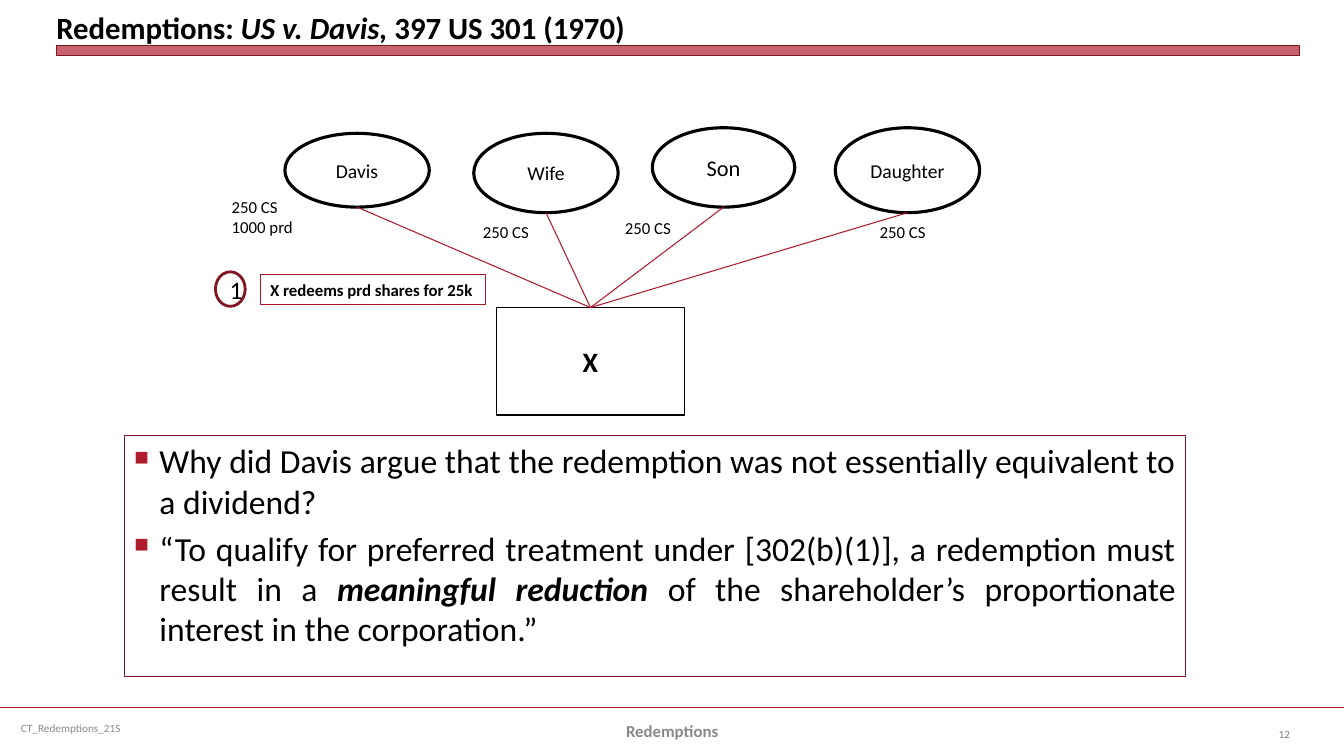
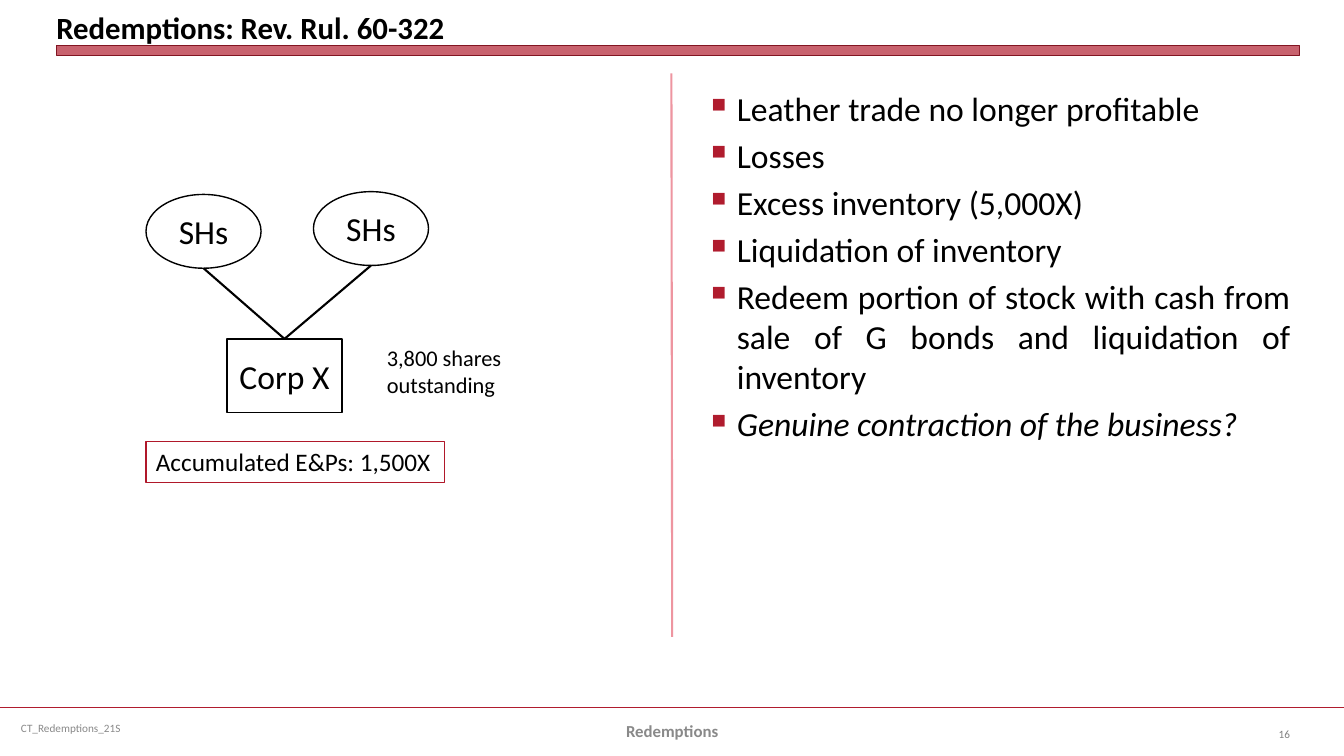
from dataclasses import dataclass
from typing import NamedTuple, Optional

from lxml import etree
from pptx import Presentation
from pptx.dml.color import RGBColor
from pptx.enum.shapes import MSO_CONNECTOR, MSO_SHAPE
from pptx.enum.text import MSO_ANCHOR, MSO_AUTO_SIZE, PP_ALIGN
from pptx.oxml.ns import qn
from pptx.util import Cm, Pt

RECT, OVAL = MSO_SHAPE.RECTANGLE, MSO_SHAPE.OVAL
STRAIGHT = MSO_CONNECTOR.STRAIGHT
LEFT, CENTER, RIGHT, JUSTIFY = PP_ALIGN.LEFT, PP_ALIGN.CENTER, PP_ALIGN.RIGHT, PP_ALIGN.JUSTIFY
TOP, MIDDLE, BOTTOM = MSO_ANCHOR.TOP, MSO_ANCHOR.MIDDLE, MSO_ANCHOR.BOTTOM

FONT = "Calibri"
BLACK, RED, LINE_RED, DARK_RED = "000000", "B01C2E", "B0182A", "821522"
PINK, GREY, NUMBER_GREY = "EE95A0", "898989", "808080"
SLIDE_W, SLIDE_H = 33.87, 19.05
MARGIN, CONTENT_W, FOOTER_H = 1.42, 31.32, 1.02
FOOTER_Y = 17.83
TOP_SIDE = 0


class Span(NamedTuple):
    text: str
    bold: bool = False
    italic: bool = False


@dataclass
class Box:
    """A text box, or a shape when kind is given; lengths in cm."""
    x: float
    y: float
    w: float
    h: float
    paras: list[list[Span]]
    size: float
    kind: Optional[MSO_SHAPE] = None
    line: str = BLACK
    weight: float = 1
    color: str = BLACK
    align: PP_ALIGN = LEFT
    anchor: MSO_ANCHOR = TOP
    wrap: bool = True
    bullets: bool = False


def rgb(value: str) -> RGBColor:
    return RGBColor.from_string(value)


def lines(*texts: str, bold: bool = False) -> list[list[Span]]:
    return [[Span(text, bold)] for text in texts]


def add_bullet(p) -> None:
    pPr = p._p.get_or_add_pPr()
    pPr.set("marL", str(Cm(0.64)))
    pPr.set("indent", str(-Cm(0.64)))
    color = etree.SubElement(pPr, qn("a:buClr"))
    etree.SubElement(color, qn("a:srgbClr")).set("val", RED)
    etree.SubElement(pPr, qn("a:buSzPct")).set("val", "60000")
    etree.SubElement(pPr, qn("a:buChar")).set("char", "■")


def write(tf, paras: list[list[Span]], size: float, color: str = BLACK,
          align: PP_ALIGN = LEFT, bullets: bool = False) -> None:
    for i, spans in enumerate(paras):
        p = tf.add_paragraph() if i else tf.paragraphs[0]
        p.alignment = align
        if bullets:
            add_bullet(p)
            p.space_before = Pt(0.2 * size if i else 0)
        for span in spans:
            r = p.add_run()
            r.text = span.text
            r.font.name, r.font.size = FONT, Pt(size)
            r.font.bold, r.font.italic = span.bold, span.italic
            r.font.color.rgb = rgb(color)


def add_box(s, box: Box):
    at = [Cm(v) for v in (box.x, box.y, box.w, box.h)]
    if box.kind is None:
        sp = s.shapes.add_textbox(*at)
    else:
        sp = s.shapes.add_shape(box.kind, *at)
        sp.shadow.inherit = False
        sp.fill.background()
        sp.line.color.rgb = rgb(box.line)
        sp.line.width = Pt(box.weight)
    tf = sp.text_frame
    tf.word_wrap = box.wrap
    tf.vertical_anchor = box.anchor
    write(tf, box.paras, box.size, box.color, box.align, box.bullets)
    return sp


def add_line(s, x1: float, y1: float, x2: float, y2: float, color: str, weight: float):
    line = s.shapes.add_connector(STRAIGHT, Cm(x1), Cm(y1), Cm(x2), Cm(y2))
    line.line.color.rgb = rgb(color)
    line.line.width = Pt(weight)
    etree.SubElement(line._element.spPr, qn("a:effectLst"))
    return line


def add_owners(s, owners: list[Box], company: Box, color: str, weight: float) -> None:
    """Draw the owners and join each one to the top of the company."""
    target = add_box(s, company)
    for owner in owners:
        add_box(s, owner)
        line = add_line(s, owner.x + owner.w / 2, owner.y + owner.h,
                        company.x + company.w / 2, company.y, color, weight)
        line.end_connect(target, TOP_SIDE)


def add_slide(prs, title: list[Span], number: int):
    s = prs.slides.add_slide(prs.slide_layouts[5])

    # Title and band
    sp = s.shapes.title
    sp.left, sp.top, sp.width, sp.height = Cm(MARGIN), Cm(0.13), Cm(CONTENT_W), Cm(1.02)
    tf = sp.text_frame
    tf.margin_left = tf.margin_top = tf.margin_right = tf.margin_bottom = 0
    tf.auto_size = MSO_AUTO_SIZE.NONE
    tf.word_wrap = True
    tf.vertical_anchor = BOTTOM
    write(tf, [title], 22)
    band = s.shapes.add_shape(RECT, Cm(MARGIN), Cm(1.14), Cm(CONTENT_W), Cm(0.25))
    band.shadow.inherit = False
    band.fill.solid()
    band.fill.fore_color.rgb = rgb(RED)
    fill_color = band._element.spPr.find(qn("a:solidFill"))[0]
    etree.SubElement(fill_color, qn("a:alpha")).set("val", "69000")
    band.line.color.rgb = rgb(DARK_RED)
    band.line.width = Pt(0)

    # Footer
    add_line(s, 0, FOOTER_Y, SLIDE_W, FOOTER_Y, RED, 1.25)
    for box in (
        Box(0.28, FOOTER_Y, 8.74, FOOTER_H, lines("CT_Redemptions_21S"), 8,
            color=GREY, anchor=MIDDLE),
        Box(11.58, 17.91, 10.72, FOOTER_H, lines("Redemptions", bold=True), 12,
            color=GREY, align=CENTER, anchor=MIDDLE),
        Box(31.06, 17.98, 1.7, FOOTER_H, lines(str(number)), 8,
            color=NUMBER_GREY, align=RIGHT, anchor=MIDDLE),
    ):
        add_box(s, box)
    return s


def node(kind: MSO_SHAPE, x: float, y: float, w: float, h: float, text: str,
         size: float, weight: float = 1, bold: bool = False, line: str = BLACK) -> Box:
    return Box(x, y, w, h, lines(text, bold=bold), size, kind, line, weight,
               align=CENTER, anchor=MIDDLE)


def build_davis(prs) -> None:
    s = add_slide(prs, [Span("Redemptions: ", True), Span("US v. Davis, ", True, True),
                        Span("397 US 301 (1970)", True)], 12)

    # Family and corporation
    family = [
        node(OVAL, 7.18, 3.36, 3.64, 1.86, "Davis", 14, 2.25),
        node(OVAL, 11.94, 3.36, 3.64, 2, "Wife", 14, 2.25),
        node(OVAL, 16.44, 3.22, 3.59, 2, "Son", 16, 2.25),
        node(OVAL, 21.05, 3.22, 3.64, 2.14, "Daughter", 14, 2.25),
    ]
    company = node(RECT, 12.51, 7.75, 4.74, 2.71, "X", 20, bold=True)
    add_owners(s, family, company, LINE_RED, 0.75)

    # Holdings
    add_box(s, Box(5.59, 4.83, 2.57, 1.27, lines("250 CS", "1000 prd"), 12))
    for x, y in ((11.92, 5.47), (15.5, 5.37), (21.92, 5.47)):
        add_box(s, Box(x, y, 2.18, 0.77, lines("250 CS"), 12))

    # Numbered step
    add_box(s, node(OVAL, 5.43, 6.85, 0.75, 0.87, "1", 18, 2, line=DARK_RED))
    add_box(s, Box(6.56, 6.92, 5.67, 0.76, lines("X redeems prd shares for 25k", bold=True),
                   12, RECT, LINE_RED, 0.75, wrap=False))

    # Questions
    questions = lines("Why did Davis argue that the redemption was not essentially "
                      "equivalent to a dividend?")
    questions.append([
        Span("“To qualify for preferred treatment under [302(b)(1)], "
             "a redemption must result in a "),
        Span("meaningful reduction ", True, True),
        Span("of the shareholder’s proportionate interest in the corporation.”"),
    ])
    add_box(s, Box(3.13, 10.97, 26.75, 6.07, questions, 24, RECT, DARK_RED, 0.75,
                   align=JUSTIFY, bullets=True))


def build_ruling(prs) -> None:
    s = add_slide(prs, [Span("Redemptions: Rev. Rul. 60-322", True)], 16)
    add_line(s, 16.92, 1.85, 16.94, 16.05, PINK, 1.5)

    # Shareholders and corporation
    w, h = 2.9, 1.86
    holders = [node(OVAL, x, y, w, h, "SHs", 24) for x, y in ((3.68, 4.9), (7.9, 4.83))]
    add_owners(s, holders, node(RECT, 5.72, 8.54, w, h, "Corp X", 24), BLACK, 1.5)
    add_box(s, Box(9.5, 8.54, 3.43, 2.31, lines("3,800 shares", "outstanding"), 16,
                   wrap=False))
    add_box(s, Box(3.68, 11.12, 7.52, 1.03, lines("Accumulated E&Ps: 1,500X"), 18,
                   RECT, LINE_RED, 0.75))

    # Facts
    facts = lines(
        "Leather trade no longer profitable",
        "Losses",
        "Excess inventory (5,000X)",
        "Liquidation of inventory",
        "Redeem portion of stock with cash from sale of G bonds and liquidation of inventory",
    )
    facts.append([Span("Genuine contraction of the business?", italic=True)])
    add_box(s, Box(17.68, 2.08, 15.09, 15.21, facts, 24, align=JUSTIFY, bullets=True))


def main() -> None:
    prs = Presentation()
    prs.slide_width, prs.slide_height = Cm(SLIDE_W), Cm(SLIDE_H)
    build_davis(prs)
    build_ruling(prs)
    prs.save("out.pptx")


if __name__ == "__main__":
    main()
